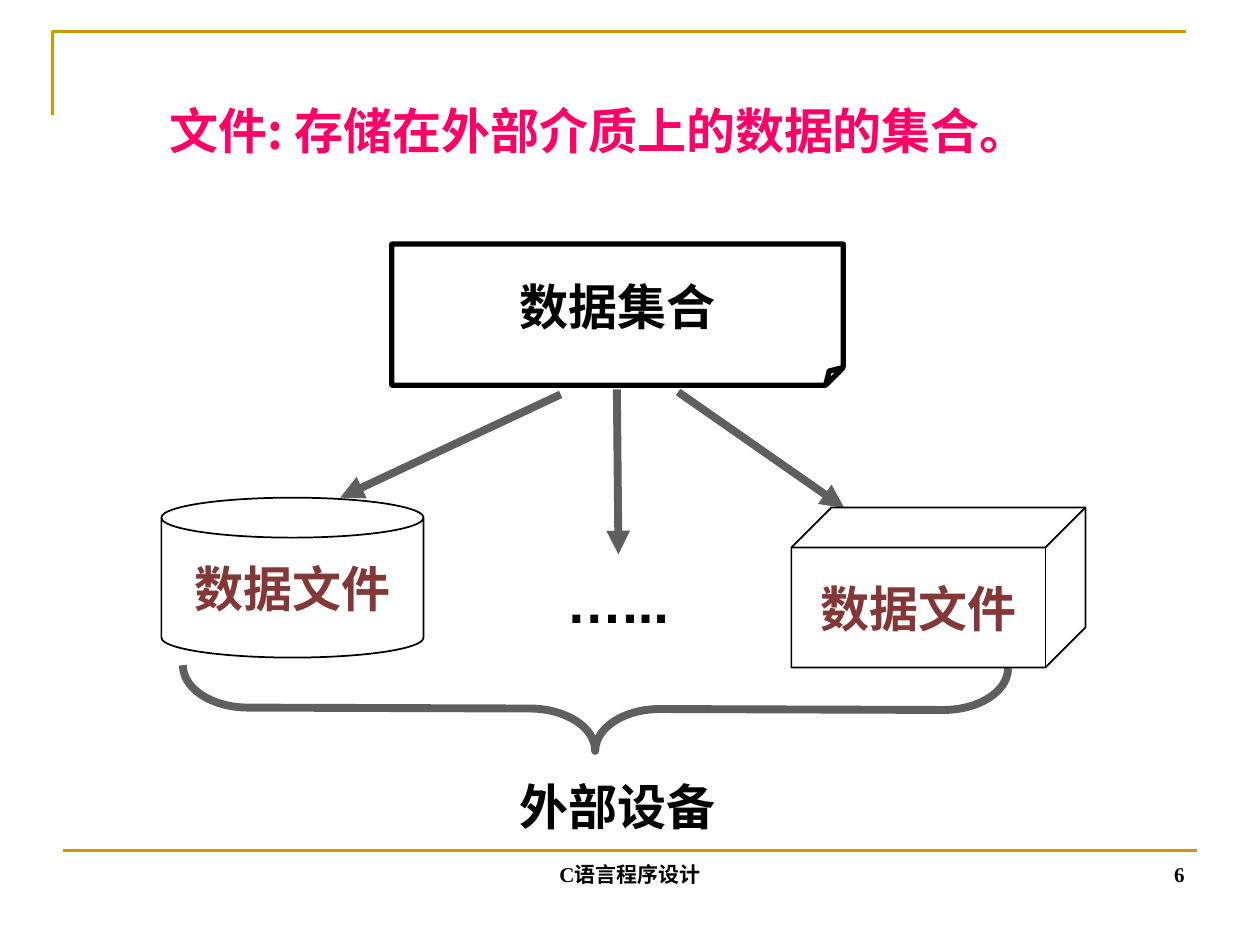
from lxml import etree
from pptx import Presentation
from pptx.dml.color import RGBColor
from pptx.enum.shapes import MSO_CONNECTOR, MSO_SHAPE
from pptx.enum.text import MSO_ANCHOR, PP_ALIGN
from pptx.oxml.ns import qn
from pptx.util import Pt

LINE = MSO_CONNECTOR.STRAIGHT
CAN, CUBE = MSO_SHAPE.CAN, MSO_SHAPE.CUBE
NOTE, BRACE = MSO_SHAPE.FOLDED_CORNER, MSO_SHAPE.LEFT_BRACE
TOP, MID, LOW = MSO_ANCHOR.TOP, MSO_ANCHOR.MIDDLE, MSO_ANCHOR.BOTTOM
LEFT, MID_X, RIGHT = PP_ALIGN.LEFT, PP_ALIGN.CENTER, PP_ALIGN.RIGHT
HAN = "Noto Sans CJK SC"
BLACK, GOLD, GREY = "000000", "CC9900", "5F5F5F"
BROWN, PINK = "833737", "FF0066"


def paint(target, color):
    target.rgb = RGBColor.from_string(color)


def write(frame, text, size=28, face="Arial", han=HAN, color=BLACK,
          align=MID_X, anchor=TOP, wrap=True):
    frame.word_wrap = wrap
    frame.vertical_anchor = anchor
    para = frame.paragraphs[0]
    para.alignment = align
    run = para.add_run()
    run.text = text
    font = run.font
    font.size, font.bold, font.name = Pt(size), True, face
    paint(font.color, color)
    latin = run._r.rPr.find(qn("a:latin"))
    latin.addnext(latin.makeelement(qn("a:ea"), {"typeface": han}))


class Board:
    def __init__(self, slide):
        self.shapes = slide.shapes

    def stroke(self, item, color, width):
        item.line.width = Pt(width)
        item.line.fill.solid()
        paint(item.line.fill.fore_color, color)

    def shape(self, kind, box, color=BLACK, width=1, turn=0, **guides):
        item = self.shapes.add_shape(kind, *map(Pt, box))
        item.shadow.inherit = False
        item.fill.background()
        item.rotation = turn
        self.stroke(item, color, width)
        if guides:
            geom = item._element.spPr.find(qn("a:prstGeom"))
            for old in list(geom):
                geom.remove(old)
            values = etree.SubElement(geom, qn("a:avLst"))
            for name, value in guides.items():
                etree.SubElement(values, qn("a:gd"), name=name, fmla=f"val {value}")
        return item

    def label(self, kind, box, text, color, **look):
        item = self.shape(kind, box, **look)
        write(item.text_frame, text, color=color, anchor=MID, wrap=False)

    def text(self, box, text, **style):
        item = self.shapes.add_textbox(*map(Pt, box))
        write(item.text_frame, text, **style)

    def line(self, start, end, color, width, arrow=False):
        item = self.shapes.add_connector(LINE, *map(Pt, start + end))
        self.stroke(item, color, width)
        props = item._element.spPr
        if arrow:
            etree.SubElement(props.find(qn("a:ln")), qn("a:tailEnd"), type="triangle")
        etree.SubElement(props, qn("a:effectLst"))

    def open_path(self, points, color, width):
        first, *rest = [tuple(map(Pt, point)) for point in points]
        pen = self.shapes.build_freeform(*first, scale=1)
        pen.add_line_segments(rest, close=False)
        item = pen.convert_to_shape()
        item.shadow.inherit = False
        item.fill.background()
        self.stroke(item, color, width)


def main():
    deck = Presentation()
    deck.slide_width, deck.slide_height = Pt(720), Pt(540)
    board = Board(deck.slides.add_slide(deck.slide_layouts[6]))

    board.open_path([(30, 66), (30, 18), (678, 18)], GOLD, 1.5)
    board.line((36, 486), (684, 486), GOLD, 1.5)

    board.label(CAN, (92.2, 284.4, 149.8, 91.4), "数据文件", BROWN, adj=25000)
    board.label(NOTE, (223.9, 139.5, 258, 80.6), "数据集合", BLACK,
                width=3, adj=12500)
    for start, end in (
        ((320.4, 225.4), (194.4, 284.4)),
        ((352.5, 222.5), (353.4, 316.8)),
        ((387.5, 224), (482.4, 290.2)),
    ):
        board.line(start, end, GREY, 4.5, arrow=True)
    board.shape(BRACE, (316.1, 169.2, 48.2, 471.6), GREY, 4.5, 270.2,
                adj1=77000, adj2=50000)
    board.text((218, 440, 270, 41), "外部设备")
    board.label(CUBE, (452.2, 290, 168, 91.4), "数据文件", BROWN, adj=25000)
    board.text((308, 321, 90, 46), "…...", size=32, han="Arial")
    board.text((90, 54, 522, 41), "文件: 存储在外部介质上的数据的集合。",
               face=HAN, color=PINK, align=LEFT)

    foot = dict(size=12, face="Times New Roman", anchor=LOW)
    board.text((246, 474.3, 228, 36), "C语言程序设计", **foot)
    board.text((516, 474, 168, 36), "6", align=RIGHT, **foot)

    deck.save("out.pptx")


if __name__ == "__main__":
    main()
